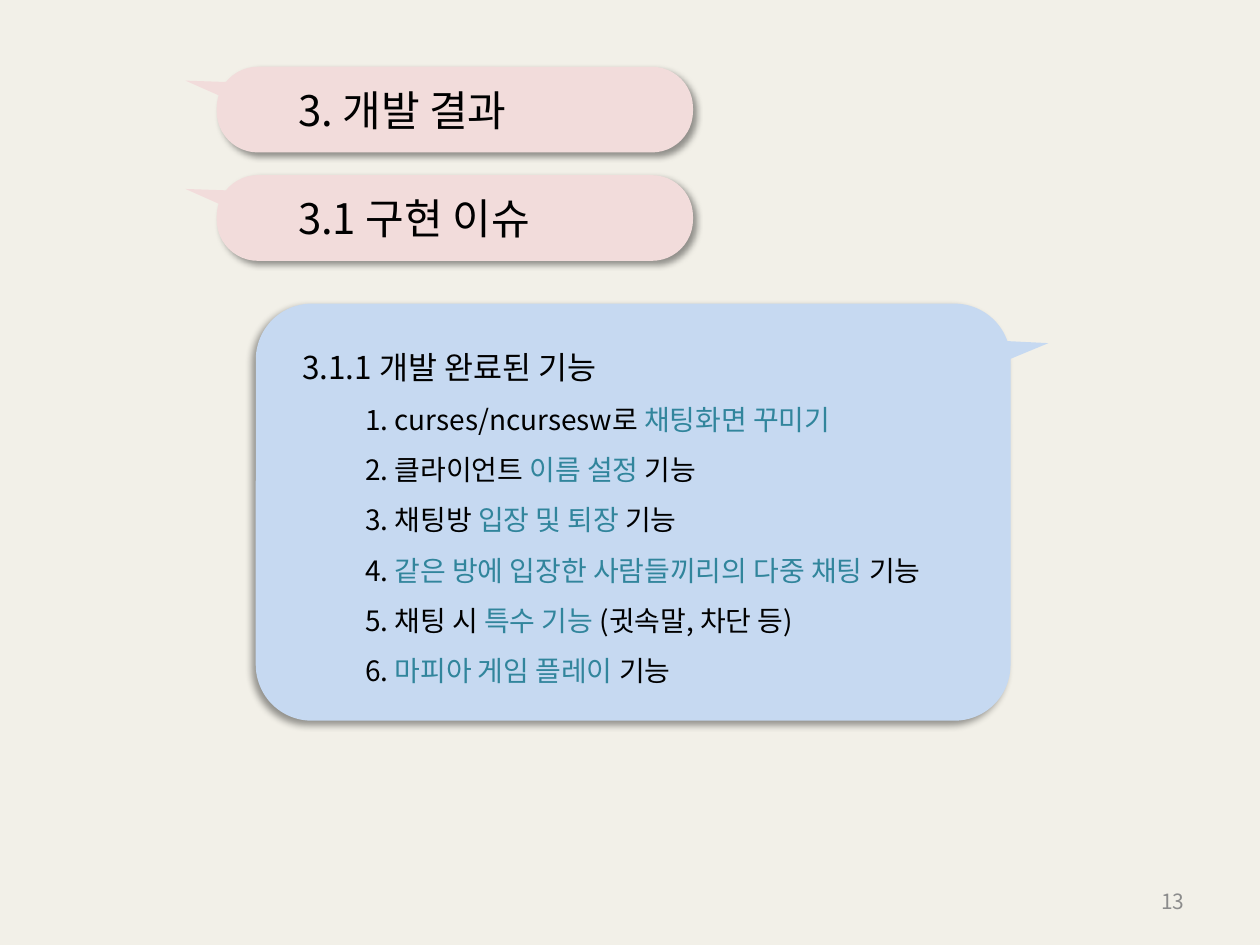
from dataclasses import dataclass
from lxml.etree import SubElement
from pptx import Presentation
from pptx.dml.color import RGBColor
from pptx.enum.shapes import MSO_SHAPE
from pptx.enum.text import MSO_ANCHOR, MSO_AUTO_SIZE, PP_ALIGN
from pptx.oxml.ns import qn
from pptx.util import Inches, Pt


@dataclass(frozen=True)
class Theme:
    font: str = "Noto Sans CJK KR"
    back: str = "F2F0E8"
    pink: str = "F2DCDB"
    blue: str = "C6D9F1"
    ink: str = "000000"
    teal: str = "31859C"
    gray: str = "8C8C8C"
    title: int = 24
    head: int = 18
    item: int = 16
    page: int = 12


theme = Theme()
deck = Presentation()
deck.slide_width, deck.slide_height = Inches(10), Inches(7.5)
slide = deck.slides.add_slide(deck.slide_layouts[6])
fill = slide.background.fill
fill.solid()
fill.fore_color.rgb = RGBColor.from_string(theme.back)


def add_part(kind, box, color, turn=0, round=None, shade=None):
    part = slide.shapes.add_shape(kind, *map(Inches, box))
    part.rotation = turn
    part.fill.solid()
    part.fill.fore_color.rgb = RGBColor.from_string(color)
    part.line.fill.background()
    part.shadow.inherit = False
    if round is not None:
        part.adjustments[0] = round
    if shade is not None:
        glow = SubElement(
            part._element.spPr.find(qn("a:effectLst")), qn("a:outerShdw"),
            blurRad=str(Pt(4)), dist=str(Pt(3)), dir=str(shade * 60000),
            rotWithShape="0")
        tint = SubElement(glow, qn("a:srgbClr"), val=theme.ink)
        SubElement(tint, qn("a:alpha"), val="40000")
    return part


def style(para, size, color):
    font = para.font
    font.size = Pt(size)
    font.color.rgb = RGBColor.from_string(color)
    font.name = theme.font
    SubElement(font._element, qn("a:ea"), typeface=theme.font)


add_part(MSO_SHAPE.ROUNDED_RECTANGLE, (2.03, 2.41, 5.99, 3.31), theme.blue,
         round=0.134, shade=135)
add_part(MSO_SHAPE.ISOSCELES_TRIANGLE, (7.97, 2.52, 0.22, 0.49), theme.blue,
         turn=80.2)

for row, title in enumerate(("3. 개발 결과", "3.1 구현 이슈")):
    top = 0.53 + row * 0.86
    pill = add_part(MSO_SHAPE.ROUNDED_RECTANGLE, (1.72, top, 3.78, 0.68),
                    theme.pink, round=0.48, shade=45)
    add_part(MSO_SHAPE.ISOSCELES_TRIANGLE, (1.63, top - 0.1, 0.21, 0.54),
             theme.pink, turn=283)
    frame = pill.text_frame
    frame.margin_left = Inches(0.55)
    frame.vertical_anchor = MSO_ANCHOR.MIDDLE
    para = frame.paragraphs[0]
    para.text = title
    para.alignment = PP_ALIGN.LEFT
    style(para, theme.title, theme.ink)

items = (
    ("1. curses/ncursesw로 ", "채팅화면 꾸미기", ""),
    ("2. 클라이언트 ", "이름 설정 ", "기능"),
    ("3. 채팅방 ", "입장 및 퇴장 ", "기능"),
    ("4. ", "같은 방에 입장한 사람들끼리의 다중 채팅", " 기능"),
    ("5. 채팅 시 ", "특수 기능 ", "(귓속말, 차단 등)"),
    ("6. ", "마피아 게임 플레이", " 기능"),
)
frame = slide.shapes.add_textbox(
    *map(Inches, (2.3, 2.41, 5.61, 3.13))).text_frame
frame.word_wrap = True
frame.auto_size = MSO_AUTO_SIZE.SHAPE_TO_FIT_TEXT
para = frame.paragraphs[0]
para.text = "3.1.1 개발 완료된 기능"
para.line_spacing = 2.0
style(para, theme.head, theme.ink)
for item in items:
    para = frame.add_paragraph()
    para.level = 1
    para.line_spacing = 1.5
    para._p.get_or_add_pPr().set("marL", str(Inches(0.5)))
    style(para, theme.item, theme.ink)
    for text, color in zip(item, (theme.ink, theme.teal, theme.ink)):
        if text:
            run = para.add_run()
            run.text = text
            run.font.color.rgb = RGBColor.from_string(color)

frame = slide.shapes.add_textbox(
    *map(Inches, (7.17, 6.95, 2.33, 0.4))).text_frame
frame.word_wrap = True
frame.vertical_anchor = MSO_ANCHOR.MIDDLE
para = frame.paragraphs[0]
para.text = "13"
para.alignment = PP_ALIGN.RIGHT
style(para, theme.page, theme.gray)

deck.save("out.pptx")
